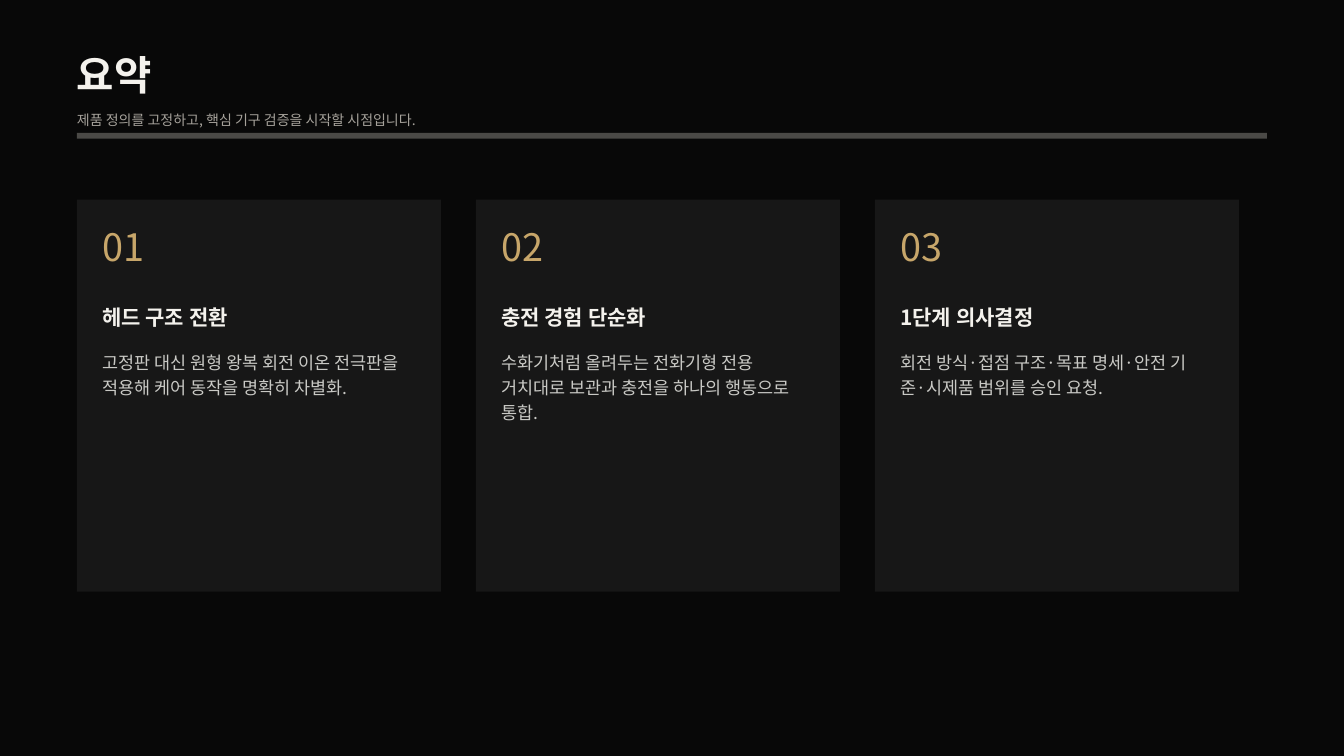
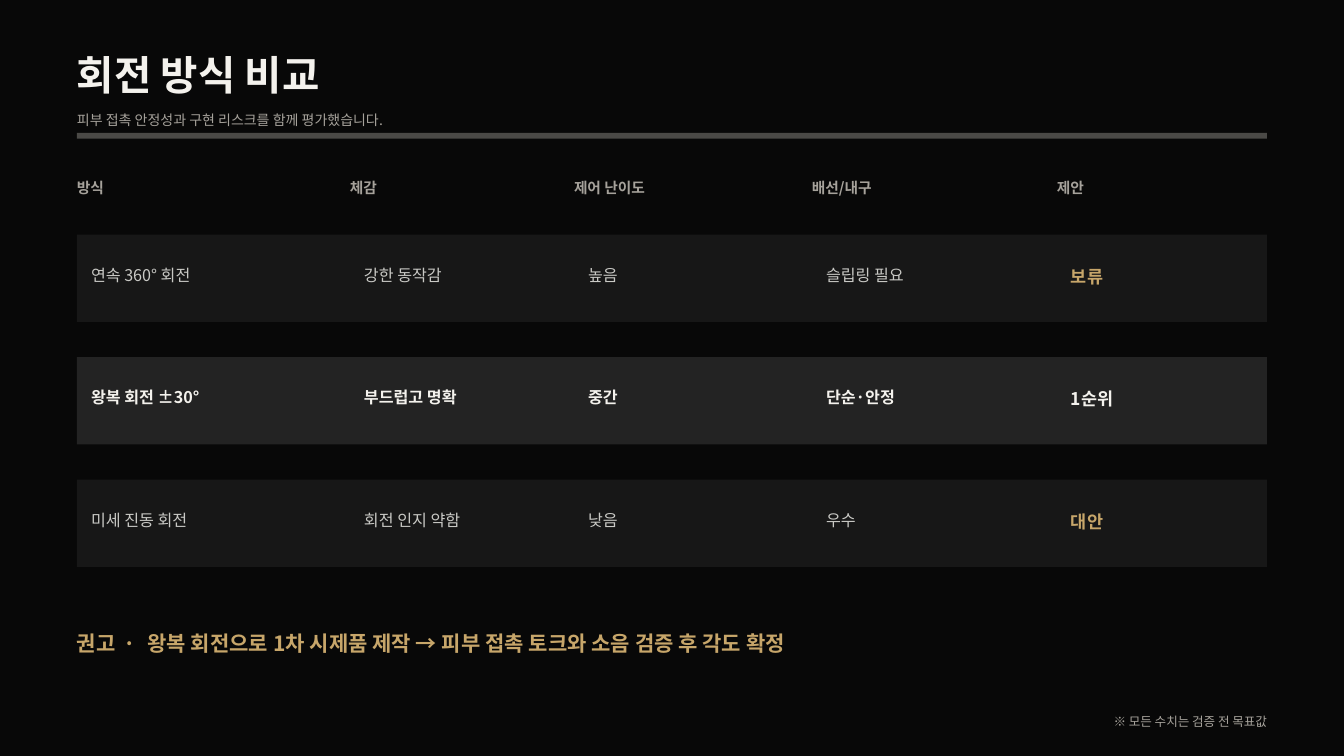
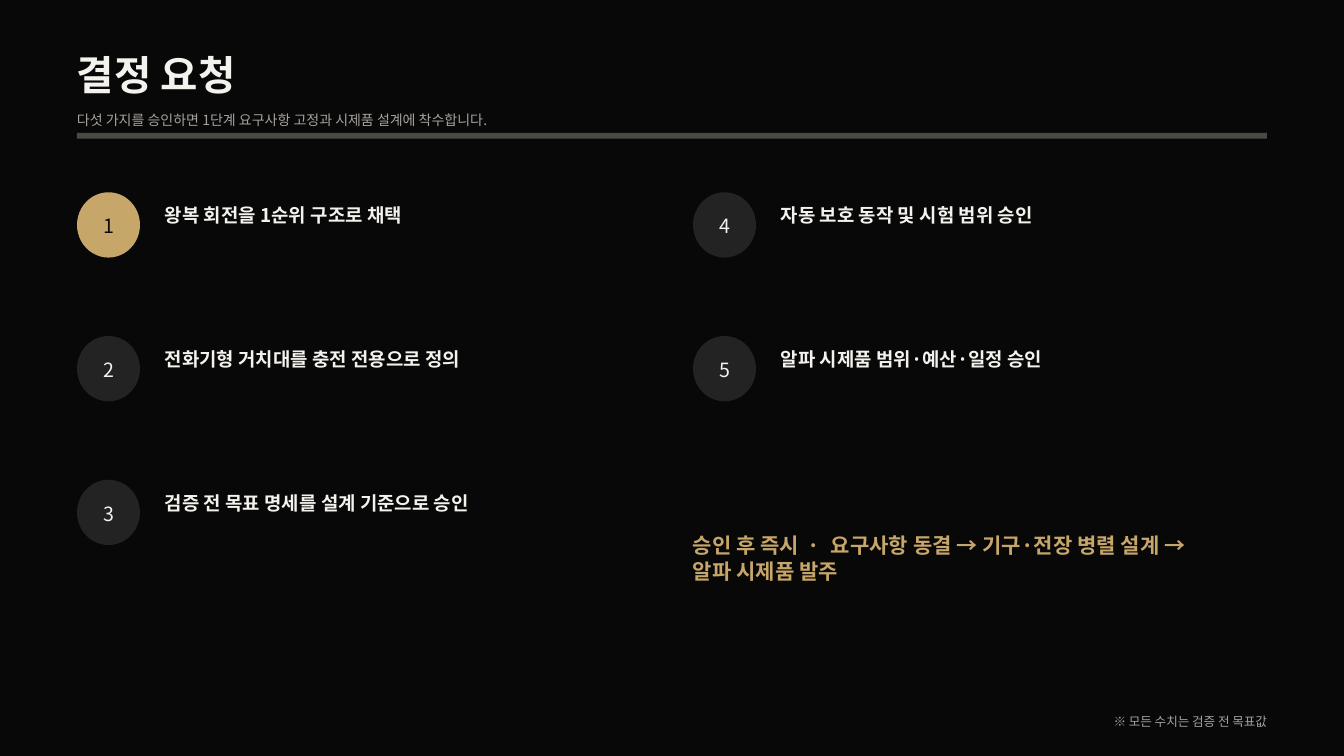
from dataclasses import dataclass

from lxml import etree
from pptx import Presentation
from pptx import util as u
from pptx.dml.color import RGBColor
from pptx.enum import shapes, text
from pptx.oxml.ns import qn

FACE = "Noto Sans CJK KR"
BACK, CARD, LIT, RULE = "080808", "171717", "232323", "4A4946"
WHITE, SOFT, GREY, GOLD = "F4F2ED", "C9C9C5", "A6A29B", "C7A66A"
LEFT, WIDE = 82.5, 1275


@dataclass(frozen=True)
class Style:
    size: float
    lead: float  # line height as a multiple of the size
    ink: str
    bold: bool = False


TITLE = Style(43.5, 1.12, WHITE, True)
SUB = Style(15, 1.35, GREY)
NUM = Style(40.5, 1, GOLD)
HEAD = Style(22.5, 1.25, WHITE, True)
BODY = Style(18.75, 1.45, SOFT)
COL = Style(15.75, 1.4, GREY, True)
CELL = Style(17.25, 1.4, SOFT)
PICK = Style(17.25, 1.4, WHITE, True)
RANK = Style(18.75, 1.4, GOLD, True)
BEST = Style(18.75, 1.4, WHITE, True)
ITEM = Style(20.25, 1.4, WHITE, True)
CALL = Style(22.5, 1.25, GOLD, True)
NOTE = Style(13.5, 1.4, GREY)


@dataclass(frozen=True)
class Card:
    num: str
    head: str
    body: str


@dataclass(frozen=True)
class Column:
    name: str
    x: float
    w: float


@dataclass(frozen=True)
class Row:
    cells: tuple[str, ...]
    best: bool = False


CARDS = [
    Card("01", "헤드 구조 전환", "고정판 대신 원형 왕복 회전 이온 전극판을 적용해 케어 동작을 명확히 차별화."),
    Card("02", "충전 경험 단순화", "수화기처럼 올려두는 전화기형 전용 거치대로 보관과 충전을 하나의 행동으로 통합."),
    Card("03", "1단계 의사결정", "회전 방식·접점 구조·목표 명세·안전 기준·시제품 범위를 승인 요청."),
]
COLUMNS = [
    Column("방식", LEFT, 270),
    Column("체감", 375, 202.5),
    Column("제어 난이도", 615, 217.5),
    Column("배선/내구", 870, 225),
    Column("제안", 1132.5, 225),
]
ROWS = [
    Row(("연속 360° 회전", "강한 동작감", "높음", "슬립링 필요", "보류")),
    Row(("왕복 회전 ±30°", "부드럽고 명확", "중간", "단순·안정", "1순위"), best=True),
    Row(("미세 진동 회전", "회전 인지 약함", "낮음", "우수", "대안")),
]
ITEMS = [
    "왕복 회전을 1순위 구조로 채택",
    "전화기형 거치대를 충전 전용으로 정의",
    "검증 전 목표 명세를 설계 기준으로 승인",
    "자동 보호 동작 및 시험 범위 승인",
    "알파 시제품 범위·예산·일정 승인",
]


def paint(code: str) -> RGBColor:
    return RGBColor.from_string(code)


def area(x: float, y: float, w: float, h: float) -> tuple[u.Length, ...]:
    return u.Pt(x), u.Pt(y), u.Pt(w), u.Pt(h)


def dress(par, style: Style, align=text.PP_ALIGN.LEFT) -> None:
    par.alignment = align
    par.line_spacing = u.Pt(style.size * style.lead)
    for run in par.runs:
        font = run.font
        font.name, font.size, font.bold = FACE, u.Pt(style.size), style.bold
        font.color.rgb = paint(style.ink)
        etree.SubElement(font._element, qn("a:ea"), typeface=FACE)


def write(slide, words: str, x: float, y: float, w: float, h: float,
          style: Style, align=text.PP_ALIGN.LEFT):
    frame = slide.shapes.add_textbox(*area(x, y, w, h)).text_frame
    frame.margin_left = frame.margin_right = 0
    frame.margin_top = frame.margin_bottom = 0
    frame.word_wrap = True
    frame.auto_size = text.MSO_AUTO_SIZE.SHAPE_TO_FIT_TEXT
    par = frame.paragraphs[0]
    par.text = words
    dress(par, style, align)
    return par


def block(slide, x: float, y: float, w: float, h: float, fill: str,
          kind=shapes.MSO_SHAPE.RECTANGLE):
    shape = slide.shapes.add_shape(kind, *area(x, y, w, h))
    shape.shadow.inherit = False
    shape.fill.solid()
    shape.fill.fore_color.rgb = paint(fill)
    shape.line.fill.background()
    return shape


def callout(slide, label: str, words: str, x: float, y: float,
            w: float, h: float) -> None:
    par = write(slide, label, x, y, w, h, CALL)
    dot, rest = par.add_run(), par.add_run()
    dot.text, rest.text = " · ", words
    dress(par, CALL)
    dot.font._element.set("spc", "340")  # wider gap around the dot


def start(deck, title: str, sub: str):
    slide = deck.slides.add_slide(deck.slide_layouts[6])
    slide.background.fill.solid()
    slide.background.fill.fore_color.rgb = paint(BACK)
    write(slide, title, LEFT, 57, 1012.5, 48, TITLE)
    write(slide, sub, LEFT, 117, 1050, 20, SUB)
    block(slide, LEFT, 142.5, WIDE, 6, RULE)
    return slide


def footer(slide) -> None:
    write(slide, "※ 모든 수치는 검증 전 목표값", 1042.5, 762.5, 315, 18,
          NOTE, text.PP_ALIGN.RIGHT)


def summary(deck) -> None:
    slide = start(deck, "요약", "제품 정의를 고정하고, 핵심 기구 검증을 시작할 시점입니다.")
    for i, card in enumerate(CARDS):
        x = LEFT + i * 427.5
        block(slide, x, 214, 390, 420, CARD)
        write(slide, card.num, x + 27, 247.5, 90, 45, NUM)
        write(slide, card.head, x + 27, 325.5, 330, 27, HEAD)
        write(slide, card.body, x + 27, 372, 330, 52, BODY)


def compare(deck) -> None:
    slide = start(deck, "회전 방식 비교", "피부 접촉 안정성과 구현 리스크를 함께 평가했습니다.")
    for col in COLUMNS:
        write(slide, col.name, col.x, 188.5, col.w, 21, COL)
    # Row bands, with the verdict in the last column
    for i, row in enumerate(ROWS):
        y = 251.25 + i * 131.25
        block(slide, LEFT, y, WIDE, 93.75, LIT if row.best else CARD)
        plain, last = (PICK, BEST) if row.best else (CELL, RANK)
        for col, cell in zip(COLUMNS, row.cells):
            style = last if col is COLUMNS[-1] else plain
            write(slide, cell, col.x + 15, y + 29.5, col.w - 30, 24, style)
    callout(slide, "권고", "왕복 회전으로 1차 시제품 제작 → 피부 접촉 토크와 소음 검증 후 각도 확정",
            LEFT, 674, 1200, 27)
    footer(slide)


def decide(deck) -> None:
    slide = start(deck, "결정 요청", "다섯 가지를 승인하면 1단계 요구사항 고정과 시제품 설계에 착수합니다.")
    # Numbered items, three to a column
    for i, item in enumerate(ITEMS):
        side, line = divmod(i, 3)
        x, y = LEFT + side * 660, 206 + line * 154
        fill, ink = (LIT, WHITE) if i else (GOLD, BACK)
        disc = block(slide, x, y, 67.5, 70, fill, shapes.MSO_SHAPE.OVAL)
        frame = disc.text_frame
        frame.margin_top, frame.margin_bottom = 0, u.Pt(2.5)
        frame.vertical_anchor = text.MSO_ANCHOR.MIDDLE
        frame.text = str(i + 1)
        dress(frame.paragraphs[0], Style(21, 1.4, ink), text.PP_ALIGN.CENTER)
        write(slide, item, x + 94, y + 8.5, 517.5, 27, ITEM)
    callout(slide, "승인 후 즉시", "요구사항 동결 → 기구·전장 병렬 설계 → 알파 시제품 발주",
            LEFT + 660, 569.5, 570, 55)
    footer(slide)


def main() -> None:
    deck = Presentation()
    deck.slide_width, deck.slide_height = u.Pt(1440), u.Pt(810)
    summary(deck)
    compare(deck)
    decide(deck)
    deck.save("out.pptx")


if __name__ == "__main__":
    main()
